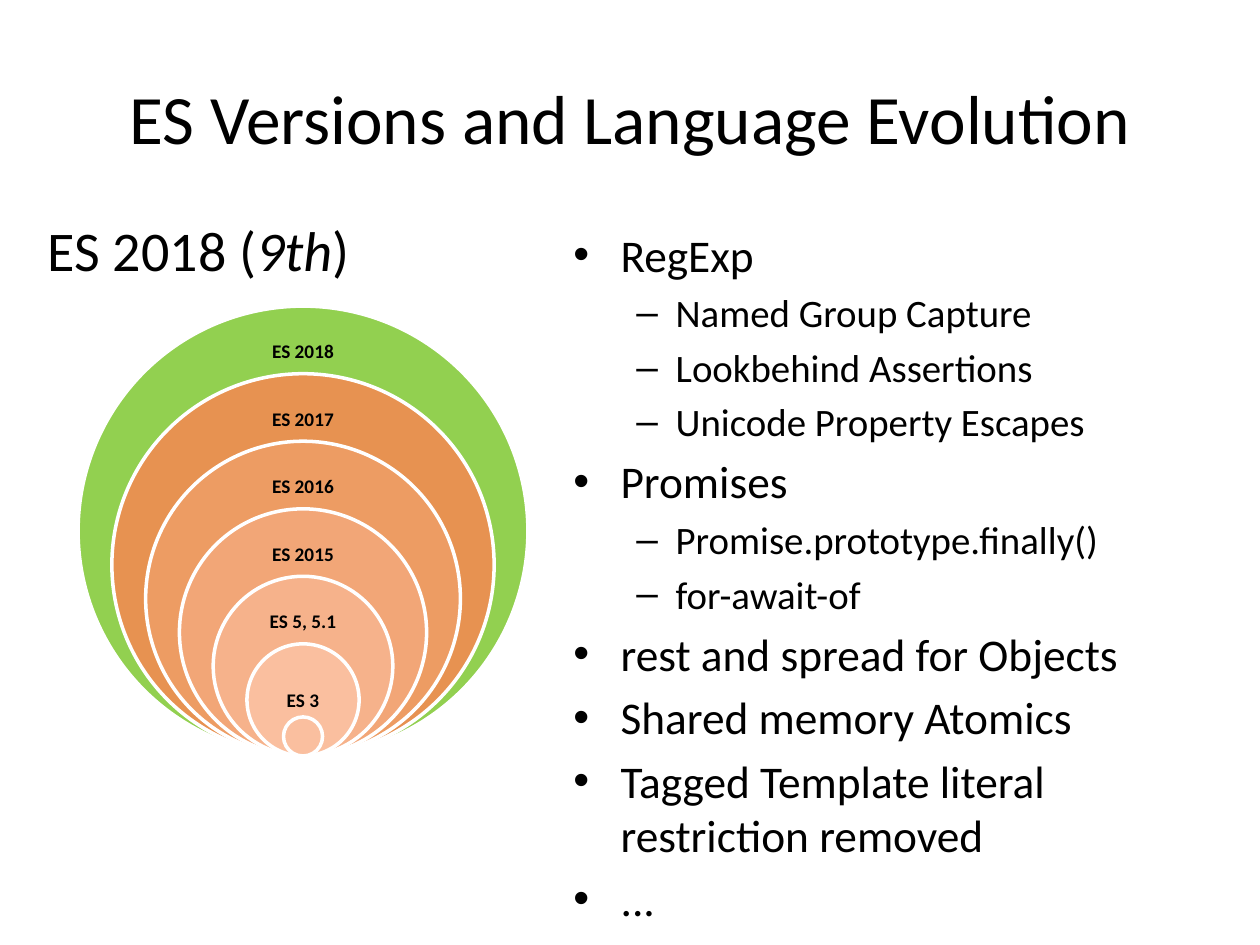
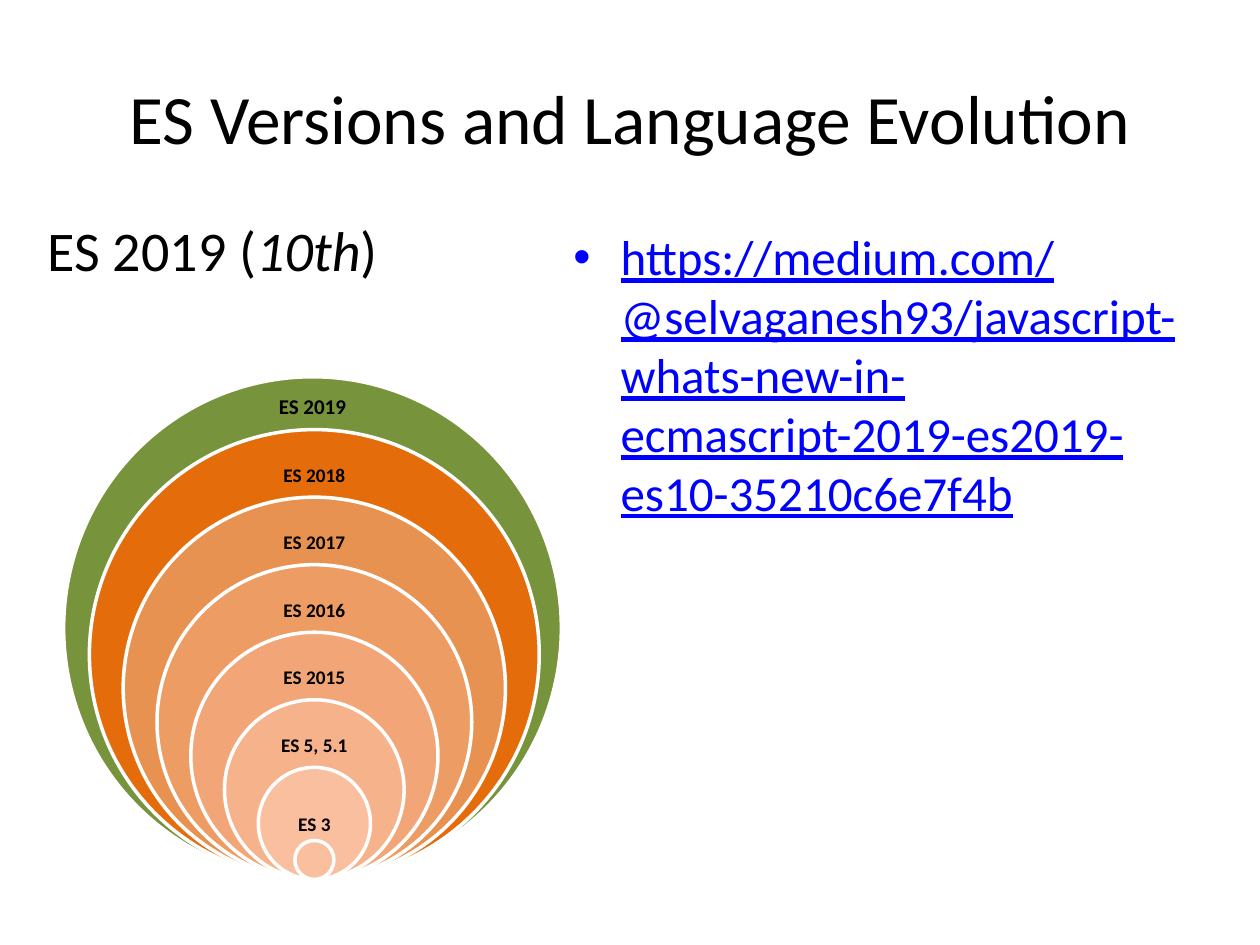
from dataclasses import dataclass
from typing import Any

import pptx
import pptx.dml.color
import pptx.enum.shapes
import pptx.enum.text
import pptx.util

COLUMNS = 100
ROWS = 75
BLACK, WHITE, LINK = "000000", "FFFFFF", "0000FF"
CENTER = pptx.enum.text.PP_ALIGN.CENTER
MIDDLE = pptx.enum.text.MSO_ANCHOR.MIDDLE
TITLE = "ES Versions and Language Evolution"
TITLE_FORMAT = {"size": 39.6}
HEADING_FORMAT = {"size": 32}
LABEL_FORMAT = {"size": 11, "bold": True}
NEWEST_FORMAT = {"size": 12, "bold": True}
TOPIC_FORMATS = [{"size": 25.9}, {"size": 22.2}]
LINK_FORMAT = {"size": 28, "underline": True, "color": LINK}

OUTER, INNER, CORE = 35.7, 8.9, 3.1
EDITIONS = [
    ("ES 2017", "E79251"),
    ("ES 2016", "ED9C63"),
    ("ES 2015", "F2A677"),
    ("ES 5, 5.1", "F6B28B"),
    ("ES 3", "FABF9F"),
]
STEP = (OUTER - INNER) / len(EDITIONS)


@dataclass
class Area:
    column: float
    row: float
    columns: float
    rows: float


@dataclass
class Ring:
    label: str
    fill: str
    columns: float
    rows: float
    label_drop: float


@dataclass
class Release:
    year: str
    edition: str
    heading_columns: float
    axis: float
    base: float
    outer_fill: str
    topics: list[tuple[int, str]]
    topic_formats: list[dict[str, Any]]


RELEASES = [
    Release(
        "ES 2018", "9th", 26.2, 24.05, 60, "92D050",
        [
            (0, "RegExp"),
            (1, "Named Group Capture"),
            (1, "Lookbehind Assertions"),
            (1, "Unicode Property Escapes"),
            (0, "Promises"),
            (1, "Promise.prototype.finally()"),
            (1, "for-await-of"),
            (0, "rest and spread for Objects"),
            (0, "Shared memory Atomics"),
            (0, "Tagged Template literal restriction removed"),
            (0, "..."),
        ],
        TOPIC_FORMATS,
    ),
    Release(
        "ES 2019", "10th", 28.5, 24.95, 69.8, "E46C0A",
        [(0, "https://medium.com/@selvaganesh93/javascript-whats-new-in-"
             "ecmascript-2019-es2019-es10-35210c6e7f4b")],
        [LINK_FORMAT],
    ),
]


def rgb(value: str) -> pptx.dml.color.RGBColor:
    return pptx.dml.color.RGBColor.from_string(value)


def format_font(font: Any, values: dict[str, Any]) -> None:
    for name, value in {"name": "Calibri", "color": BLACK, **values}.items():
        if name == "color":
            font.color.rgb = rgb(value)
        else:
            setattr(font, name, pptx.util.Pt(value) if name == "size" else value)


def place(deck: Any, area: Area) -> tuple[int, int, int, int]:
    cell_width = deck.slide_width / COLUMNS
    cell_height = deck.slide_height / ROWS
    return (
        round(area.column * cell_width),
        round(area.row * cell_height),
        round(area.columns * cell_width),
        round(area.rows * cell_height),
    )


def add_caption(deck: Any, slide: Any, area: Area) -> Any:
    caption = slide.shapes.add_textbox(*place(deck, area)).text_frame
    caption.word_wrap = False
    return caption


def draw_ring(deck: Any, slide: Any, ring: Ring, axis: float, base: float) -> None:
    top = base - ring.rows
    area = Area(axis - ring.columns / 2, top, ring.columns, ring.rows)
    disc = slide.shapes.add_shape(pptx.enum.shapes.MSO_SHAPE.OVAL, *place(deck, area))
    disc.shadow.inherit = False
    disc.fill.solid()
    disc.fill.fore_color.rgb = rgb(ring.fill)
    disc.line.color.rgb = rgb(WHITE)
    disc.line.width = pptx.util.Pt(2)
    if ring.label:
        add_label(deck, slide, ring.label, axis, top + ring.label_drop, LABEL_FORMAT)


def add_label(deck: Any, slide: Any, label: str, axis: float, row: float,
              values: dict[str, Any]) -> None:
    caption = add_caption(deck, slide, Area(axis - 3.7, row - 1.5, 7.4, 3))
    caption.vertical_anchor = MIDDLE
    line = caption.paragraphs[0]
    line.text = label
    line.alignment = CENTER
    format_font(line.runs[0].font, values)


def draw_rings(deck: Any, slide: Any, release: Release) -> None:
    editions = [("ES 2018", release.outer_fill), *EDITIONS]
    for index, (label, fill) in enumerate(editions):
        diameter = OUTER - index * STEP
        drop = INNER / 2 if label == "ES 3" else 3.55
        ring = Ring(label, fill, diameter, diameter, drop)
        draw_ring(deck, slide, ring, release.axis, release.base)
    core = Ring("", EDITIONS[-1][1], CORE, CORE, 0)
    draw_ring(deck, slide, core, release.axis, release.base)


def add_heading(deck: Any, slide: Any, release: Release) -> None:
    area = Area(2.8, 16.6, release.heading_columns, 9.4)
    line = add_caption(deck, slide, area).paragraphs[0]
    for words, italic in [(f"{release.year} (", False), (release.edition, True), (")", False)]:
        part = line.add_run()
        part.text = words
        format_font(part.font, {**HEADING_FORMAT, "italic": italic})


def fill_title(deck: Any, slide: Any) -> None:
    title = slide.shapes.title
    title.left, title.top, title.width, title.height = place(deck, Area(5, 3, 90, 12.5))
    title.text_frame.text = TITLE
    title.text_frame.auto_size = pptx.enum.text.MSO_AUTO_SIZE.NONE
    title.text_frame.vertical_anchor = MIDDLE
    line = title.text_frame.paragraphs[0]
    line.alignment = CENTER
    format_font(line.runs[0].font, TITLE_FORMAT)


def fill_topics(deck: Any, slide: Any, release: Release) -> None:
    body = slide.placeholders[1]
    body.left, body.top, body.width, body.height = place(deck, Area(44.5, 17.5, 50.5, 49.5))
    topics = body.text_frame
    topics.auto_size = pptx.enum.text.MSO_AUTO_SIZE.NONE
    for index, (level, words) in enumerate(release.topics):
        topic = topics.add_paragraph() if index else topics.paragraphs[0]
        topic.text = words
        topic.level = level
        format_font(topic.runs[0].font, release.topic_formats[level])
    topics.paragraphs[0].space_before = pptx.util.Pt(0)


def build_release(deck: Any, release: Release) -> None:
    slide = deck.slides.add_slide(deck.slide_layouts[1])
    if release.year == "ES 2019":
        newest = Ring("", "77933C", 39.5, 39.9, 0)
        draw_ring(deck, slide, newest, 24.8, release.base)
    fill_title(deck, slide)
    fill_topics(deck, slide, release)
    draw_rings(deck, slide, release)
    add_heading(deck, slide, release)
    if release.year == "ES 2019":
        add_label(deck, slide, release.year, 24.8, 32.2, NEWEST_FORMAT)


def main() -> None:
    deck = pptx.Presentation()
    deck.slide_width = pptx.util.Inches(10)
    deck.slide_height = pptx.util.Inches(7.5)
    for release in RELEASES:
        build_release(deck, release)
    deck.save("out.pptx")


if __name__ == "__main__":
    main()
